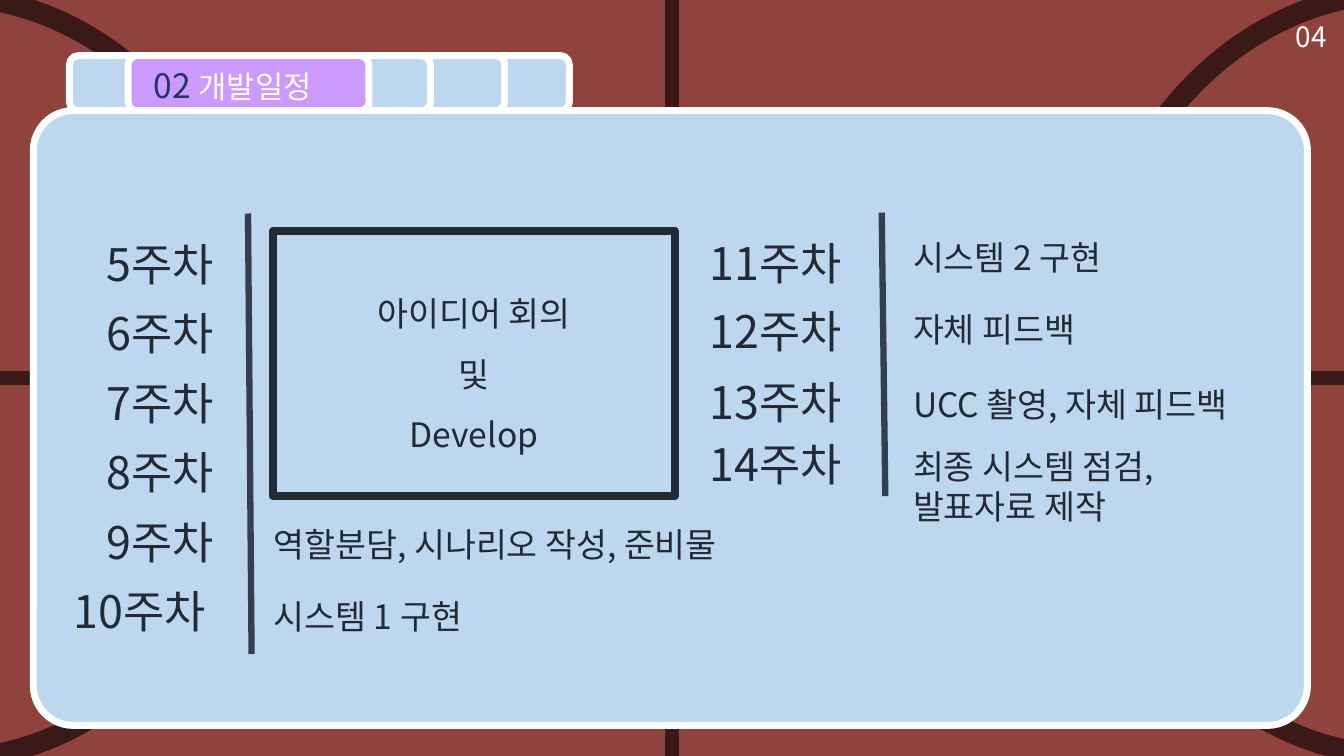
import collections

import lxml.etree
import pptx
import pptx.dml.color
import pptx.enum.shapes
import pptx.enum.text
import pptx.oxml.ns
import pptx.util

Cm = pptx.util.Cm
SHAPES = pptx.enum.shapes.MSO_SHAPE
Box = collections.namedtuple("Box", "left top width height")
Row = collections.namedtuple("Row", "week week_top task task_top task_width")

FONT = "Noto Sans CJK KR"
BRICK, COURT = "90423C", "3B1919"
SKY, VIOLET, WHITE = "BDD7EE", "CC99FF", "FFFFFF"
INK, RAIL, NAVY = "222A35", "333F50", "203864"

WEEK_WIDTH, SHORT_WEEK_WIDTH, WEEK_HEIGHT = 4.47, 3.63, 1.63
WEEK_STEP = 1.75
TASK_LINE = 1.04

LEFT_ROWS = [Row(f"{week}주차", index * WEEK_STEP, "", 0, 0)
             for index, week in enumerate(range(5, 9))] + [
    Row("9주차", 4 * WEEK_STEP, "역할분담, 시나리오 작성, 준비물", 7.24, 12.93),
    Row("10주차", 5 * WEEK_STEP, "시스템 1 구현", 9.04, 5.94),
]
RIGHT_ROWS = [
    Row("11주차", 0, "시스템 2 구현", 0.02, 5.94),
    Row("12주차", 1.72, "자체 피드백", 1.83, 5.05),
    Row("13주차", 3.5, "UCC 촬영, 자체 피드백", 3.73, 9.47),
    Row("14주차", 5.05, "최종 시스템 점검,\n발표자료 제작", 5.28, 7.29),
]


def color(value):
    return pptx.dml.color.RGBColor.from_string(value)


def style_span(span, size, ink):
    span.font.size = pptx.util.Pt(size)
    span.font.color.rgb = color(ink)
    span.font.name = FONT
    properties = span.font._element
    east_asian = lxml.etree.SubElement(properties, pptx.oxml.ns.qn("a:ea"))
    east_asian.set("typeface", FONT)


def style_text(frame, size, ink):
    for para in frame.paragraphs:
        for span in para.runs:
            style_span(span, size, ink)


def add_shape(page, kind, box, fill, line, width):
    shape = page.shapes.add_shape(kind, *map(Cm, box))
    shape.shadow.inherit = False
    if fill:
        shape.fill.solid()
        shape.fill.fore_color.rgb = color(fill)
    else:
        shape.fill.background()
    shape.line.color.rgb = color(line)
    shape.line.width = pptx.util.Pt(width)
    return shape


def add_line(page, start, end, ink, width):
    line = page.shapes.add_connector(
        pptx.enum.shapes.MSO_CONNECTOR.STRAIGHT, *map(Cm, start + end))
    line.line.color.rgb = color(ink)
    line.line.width = pptx.util.Pt(width)
    properties = line._element.spPr
    lxml.etree.SubElement(properties, pptx.oxml.ns.qn("a:effectLst"))


def add_label(page, box, text, size, ink):
    label = page.shapes.add_textbox(*map(Cm, box))
    frame = label.text_frame
    frame.word_wrap = False
    frame.auto_size = pptx.enum.text.MSO_AUTO_SIZE.SHAPE_TO_FIT_TEXT
    frame.text = text
    style_text(frame, size, ink)
    return frame


def draw_court(page, box):
    page.background.fill.solid()
    page.background.fill.fore_color.rgb = color(BRICK)
    for left, top, rotation in ((-9.45, -0.1, 180), (27.25, -0.18, 0)):
        arc_box = Box(box.left + left, box.top + top, 16.15, 19.23)
        arc = add_shape(page, SHAPES.PIE, arc_box, None, COURT, 15)
        arc.adjustments[0] = 53.63
        arc.adjustments[1] = 162.24
        arc.rotation = rotation
    right, bottom = box.left + box.width, box.top + box.height
    middle_x, middle_y = box.left + box.width / 2, box.top + box.height / 2
    add_line(page, (middle_x, box.top), (middle_x, bottom), COURT, 10)
    add_line(page, (box.left, middle_y), (right, middle_y), COURT, 10)


def draw_tabs(page, box):
    for offset in (7.47, 5.84, 0, 3.97):
        tab = Box(box.left + offset, box.top, 5.13, box.height)
        add_shape(page, SHAPES.ROUNDED_RECTANGLE, tab, SKY, WHITE, 5)
    active = Box(box.left + 1.48, box.top, 6.07, box.height)
    add_shape(page, SHAPES.ROUNDED_RECTANGLE, active, VIOLET, WHITE, 5)


def draw_title(page, box):
    frame = add_label(page, box, "02 ", 24, NAVY)
    span = frame.paragraphs[0].add_run()
    span.text = "개발일정"
    style_span(span, 22, WHITE)


def draw_panel(page, box):
    panel = add_shape(page, SHAPES.ROUNDED_RECTANGLE, box, SKY, WHITE, 5)
    panel.adjustments[0] = 0.065


def draw_schedule(page, box, rows, rail_left, task_left):
    rail_top = box.top - 0.46
    rail_x = box.left + rail_left
    add_line(page, (rail_x, rail_top), (rail_x + 0.09, rail_top + box.height), RAIL, 4.5)
    for row in rows:
        width = WEEK_WIDTH if len(row.week) > 3 else SHORT_WEEK_WIDTH
        week_box = Box(box.left + WEEK_WIDTH - width, box.top + row.week_top,
                       width, WEEK_HEIGHT)
        add_label(page, week_box, row.week, 32, INK)
        if row.task:
            height = 1.27 + TASK_LINE * row.task.count("\n")
            task_box = Box(box.left + task_left, box.top + row.task_top,
                           row.task_width, height)
            add_label(page, task_box, row.task, 24, INK)


def draw_idea_frame(page, box):
    frame = add_shape(page, SHAPES.RECTANGLE, box, None, INK, 6).text_frame
    frame.text = "아이디어 회의\n및\nDevelop"
    frame.vertical_anchor = pptx.enum.text.MSO_ANCHOR.MIDDLE
    for para in frame.paragraphs:
        para.alignment = pptx.enum.text.PP_ALIGN.CENTER
        para.line_spacing = 1.5
    style_text(frame, 24, INK)


def draw_page_number(page, box):
    frame = page.shapes.add_textbox(*map(Cm, box)).text_frame
    frame.word_wrap = True
    frame.vertical_anchor = pptx.enum.text.MSO_ANCHOR.MIDDLE
    frame.text = "04"
    frame.paragraphs[0].alignment = pptx.enum.text.PP_ALIGN.CENTER
    style_text(frame, 20, WHITE)


def main():
    deck = pptx.Presentation()
    deck.slide_width, deck.slide_height = Cm(33.87), Cm(19.05)
    page = deck.slides.add_slide(deck.slide_layouts[6])
    draw_court(page, Box(0, 0, 33.87, 19.05))
    draw_tabs(page, Box(1.75, 1.4, 12.6, 1.4))
    draw_panel(page, Box(0.84, 2.79, 32.11, 15.49))
    draw_title(page, Box(3.63, 1.52, 5.16, 1.27))
    draw_schedule(page, Box(1.6, 5.84, 17.98, 11.1), LEFT_ROWS, 4.65, 5.05)
    draw_schedule(page, Box(17.63, 5.82, 14.6, 7.14), RIGHT_ROWS, 4.59, 5.13)
    draw_idea_frame(page, Box(6.88, 5.82, 10.13, 6.68))
    draw_page_number(page, Box(32.23, 0.08, 1.63, 1.68))
    deck.save("out.pptx")


if __name__ == "__main__":
    main()
